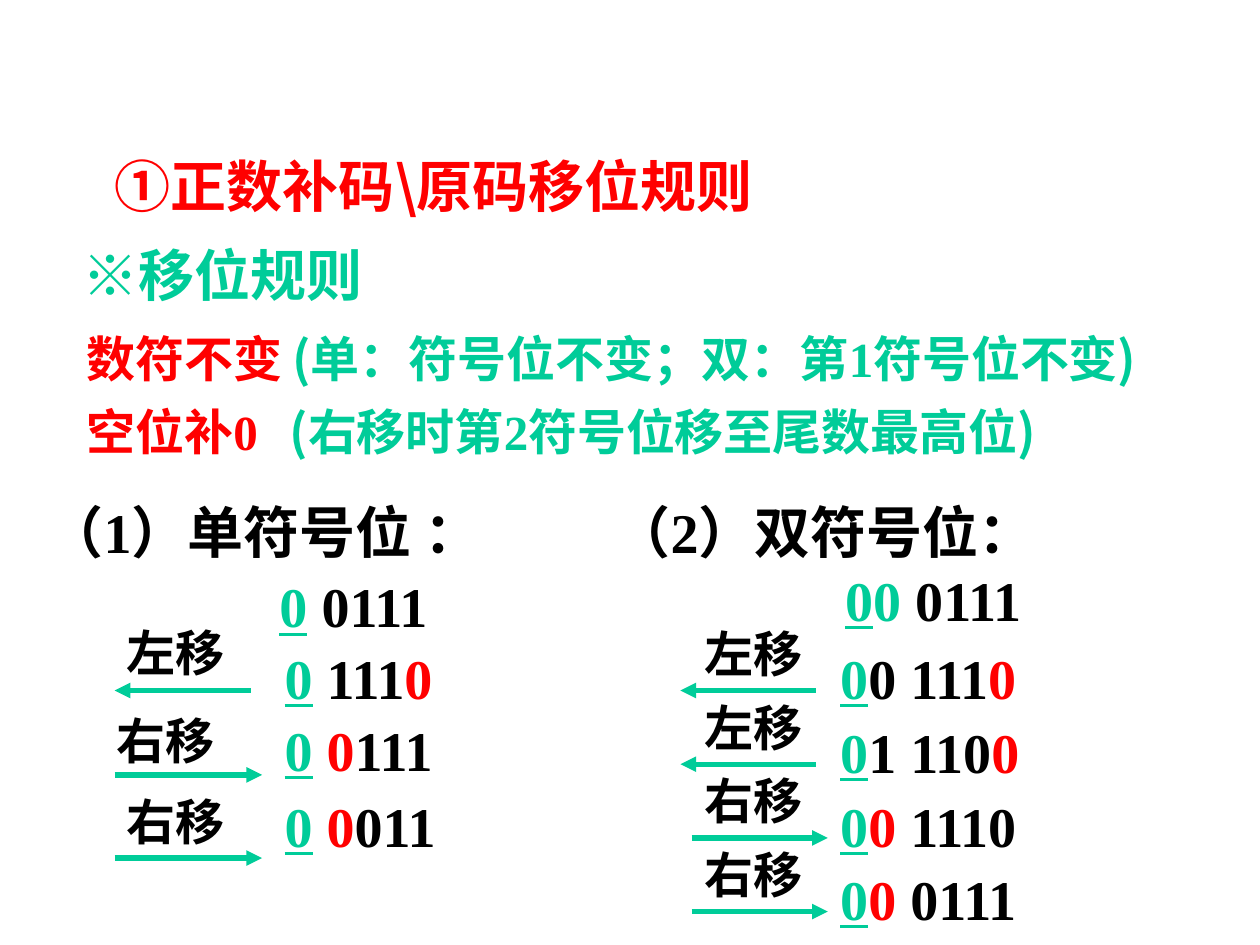
from dataclasses import dataclass

from lxml.etree import SubElement
from pptx import Presentation
from pptx.dml.color import RGBColor
from pptx.enum.shapes import MSO_CONNECTOR as Connector
from pptx.enum.text import MSO_ANCHOR as Anchor, MSO_AUTO_SIZE as AutoSize, PP_ALIGN as Align
from pptx.oxml.ns import qn
from pptx.util import Inches, Pt

COLORS = {"rule": "00CC99", "accent": "FF0000", "ink": "000000"}
SERIF = "Times New Roman"
SANS = "Noto Sans CJK SC"
ROW_PITCH = 0.585


@dataclass(frozen=True)
class Span:
    text: str
    color: str = "ink"
    font: str = SERIF
    underline: bool = False


@dataclass(frozen=True)
class Line:
    left: float
    top: float
    width: float
    spans: tuple[Span, ...]
    size: float = 32
    height: float = 0.64


@dataclass(frozen=True)
class Shift:
    label: str
    label_left: float
    label_top: float
    start: float
    end: float
    y: float


def fill_line(shape, line: Line) -> None:
    shape.left, shape.top = Inches(line.left), Inches(line.top)
    shape.width, shape.height = Inches(line.width), Inches(line.height)
    frame = shape.text_frame
    frame.word_wrap = True
    frame.auto_size = AutoSize.NONE
    frame.vertical_anchor = Anchor.TOP
    paragraph = frame.paragraphs[0]
    paragraph.alignment = Align.LEFT
    for span in line.spans:
        run = paragraph.add_run()
        run.text = span.text
        font = run.font
        font.name, font.size, font.bold = span.font, Pt(line.size), True
        font.underline = span.underline
        font.color.rgb = RGBColor.from_string(COLORS[span.color])
        font._element.find(qn("a:latin")).addnext(
            SubElement(font._element, qn("a:ea"), typeface=SANS))


def add_line(slide, line: Line) -> None:
    fill_line(slide.shapes.add_textbox(0, 0, 0, 0), line)


def add_shift(slide, shift: Shift) -> None:
    add_line(slide, Line(shift.label_left, shift.label_top, 1.17,
                         (Span(shift.label),), 28, 0.57))
    arrow = slide.shapes.add_connector(
        Connector.STRAIGHT, Inches(shift.start), Inches(shift.y),
        Inches(shift.end), Inches(shift.y))
    arrow.line.width = Pt(3)
    arrow.line.color.rgb = RGBColor.from_string(COLORS["rule"])
    arrowhead = "headEnd" if shift.label == "左移" else "tailEnd"
    SubElement(arrow.line._ln, qn(f"a:{arrowhead}"), type="triangle")
    SubElement(arrow._element.spPr, qn("a:effectLst"))


def bits(*parts: tuple[str, str]) -> tuple[Span, ...]:
    sign = Span("0", "rule", underline=True)
    return (sign, *(Span(text, color) for text, color in parts))


def remark(text: str) -> tuple[Span, ...]:
    return (Span("(", "rule", SANS), Span(text, "rule"), Span(")", "rule", SANS))


TITLE = Line(0.81, 1.15, 6.71, (Span("①正数补码\\原码移位规则", "accent", SANS),))

RULES = [
    Line(0.56, 1.86, 3.23, (Span("※移位规则", "rule", SANS),)),
    Line(0.59, 2.56, 2.25, (Span("数符不变", "accent"),), 28, 0.57),
    Line(2.22, 2.56, 7.66, remark("单：符号位不变；双：第1符号位不变"), 28, 0.57),
    Line(0.59, 3.14, 2.17, (Span("空位补0", "accent"),), 28, 0.57),
    Line(2.2, 3.14, 6.93, remark("右移时第2符号位移至尾数最高位"), 28, 0.57),
]

SINGLE_SIGN = [
    Line(0.28, 3.9, 4.92, (Span("（1）单符号位 ："),)),
    Line(2.12, 4.49, 2, bits((" 0111", "ink"))),
    Line(2.16, 5.06, 1.92, bits((" 111", "ink"), ("0", "accent"))),
    Line(2.16, 5.63, 1.92, bits((" ", "ink"), ("0", "accent"), ("111", "ink"))),
    Line(2.16, 6.23, 1.92, bits((" ", "ink"), ("0", "accent"), ("011", "ink"))),
]

DOUBLE_SIGN = [
    Line(4.78, 3.9, 4.08, (Span("（2）双符号位："),)),
    Line(6.61, 4.44, 1.83, bits(("0", "rule"), (" 0111", "ink"))),
]

DOUBLE_STEPS = [
    ("左移", bits(("0 111", "ink"), ("0", "accent"))),
    ("左移", bits(("1 110", "ink"), ("0", "accent"))),
    ("右移", bits(("0", "accent"), (" 1110", "ink"))),
    ("右移", bits(("0", "accent"), (" 0111", "ink"))),
]

SINGLE_SHIFTS = [
    Shift("左移", 0.91, 4.89, 0.91, 1.99, 5.48),
    Shift("右移", 0.83, 5.59, 0.91, 2.08, 6.15),
    Shift("右移", 0.91, 6.23, 0.91, 2.08, 6.81),
]


def main() -> None:
    deck = Presentation()
    deck.slide_width, deck.slide_height = Inches(10), Inches(7.5)
    slide = deck.slides.add_slide(deck.slide_layouts[5])
    fill_line(slide.shapes.title, TITLE)
    for line in RULES + SINGLE_SIGN + DOUBLE_SIGN:
        add_line(slide, line)
    for shift in SINGLE_SHIFTS:
        add_shift(slide, shift)
    for row, (label, result) in enumerate(DOUBLE_STEPS):
        offset = row * ROW_PITCH
        start = 5.4 if label == "左移" else 5.49
        add_shift(slide, Shift(label, 5.49, 4.9 + offset, start, start + 1.08, 5.48 + offset))
        add_line(slide, Line(6.57, 5.06 + offset, 1.92, result, height=1.17))
    deck.save("out.pptx")


if __name__ == "__main__":
    main()
